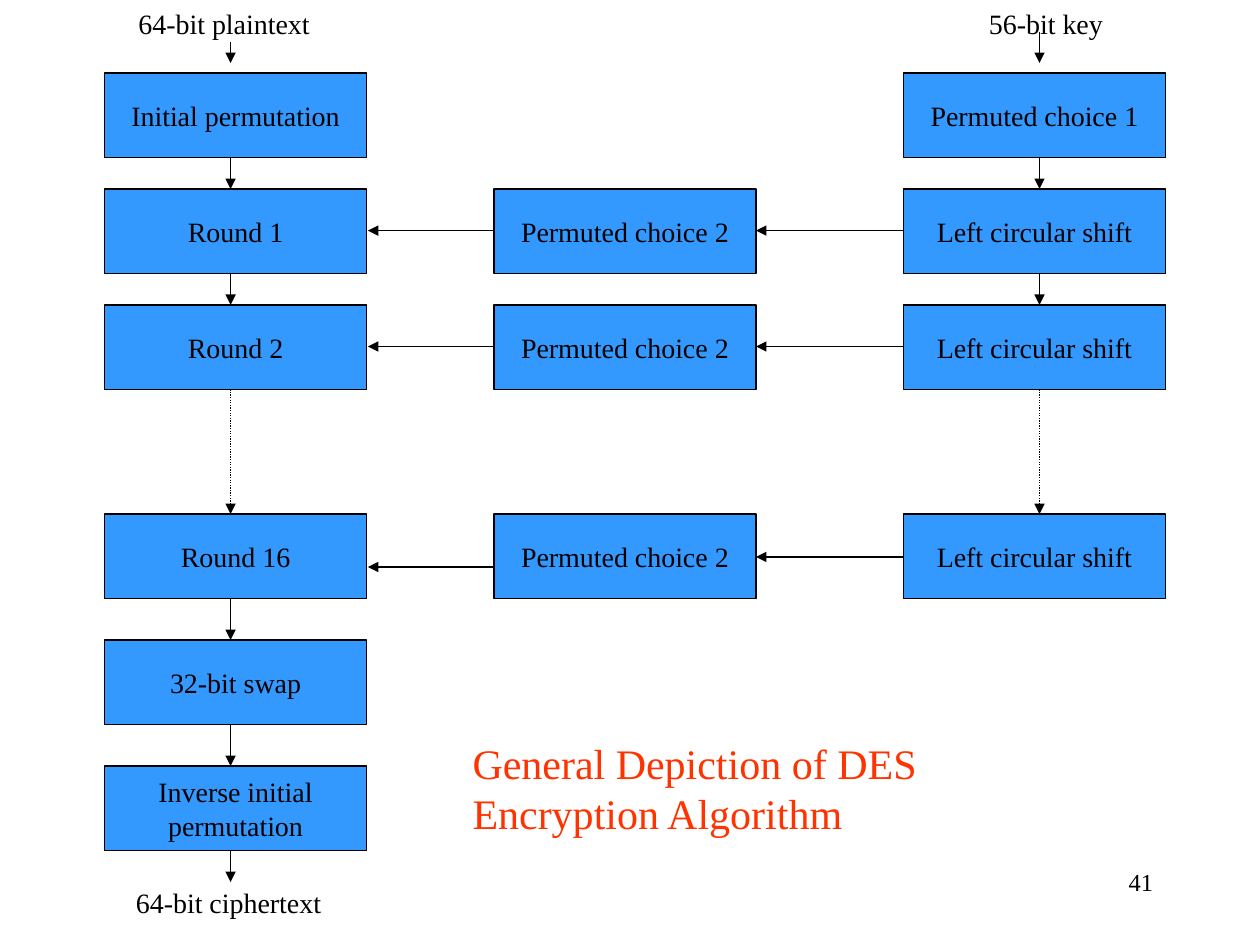
from pptx import Presentation
from pptx.util import Inches, Pt
from pptx.dml.color import RGBColor
from pptx.enum.dml import MSO_LINE
from pptx.enum.shapes import MSO_SHAPE, MSO_CONNECTOR
from pptx.enum.text import MSO_ANCHOR, MSO_AUTO_SIZE, PP_ALIGN
from lxml.etree import SubElement
from pptx.oxml.ns import qn

FONT, BLACK, BLUE, RED = "Times New Roman", "000000", "3399FF", "FF3300"
BOX_W, BOX_H = 2.08, 0.67

# Content: column left edge, arrow axis, boxes as (top, text)
ROUNDS = (1.5, 2.42, 4.08)
COLUMNS = [
    (0.83, 1.83, [(0.58, "Initial permutation"), (1.5, "Round 1"),
                  (2.42, "Round 2"), (4.08, "Round 16"),
                  (5.08, "32-bit swap"),
                  (6.08, "Inverse initial\npermutation")]),
    (3.92, None, [(top, "Permuted choice 2") for top in ROUNDS]),
    (7.17, 8.25, [(0.58, "Permuted choice 1")]
     + [(top, "Left circular shift") for top in ROUNDS]),
]
# Labels: left, top, width, height, text, size, alignment
LABELS = [
    (1, 0, 1.58, 0.37, "64-bit plaintext", 16, PP_ALIGN.LEFT),
    (7.75, 0, 1.11, 0.37, "56-bit key", 16, PP_ALIGN.LEFT),
    (0.98, 6.98, 1.68, 0.37, "64-bit ciphertext", 16, PP_ALIGN.LEFT),
    (7.17, 6.83, 2.08, 0.5, "41", 14, PP_ALIGN.RIGHT),
]
TITLE = "General Depiction of DES\nEncryption Algorithm"
# Arrows into and out of the columns: x, start, end
ENDS = [(1.83, 0.33, 0.5), (8.25, 0.25, 0.5), (1.83, 6.75, 7)]
# Arrows between columns: start, end, height at each round
LINKS = [(3.92, 2.92, (1.83, 2.75, 4.5)), (7.17, 6, (1.83, 2.75, 4.42))]


def rgb(code):
    return RGBColor.from_string(code)


def write(shape, text, size, color, align, anchor, wrap=False):
    frame = shape.text_frame
    frame.text = text
    frame.word_wrap = wrap
    frame.auto_size = MSO_AUTO_SIZE.NONE
    frame.vertical_anchor = anchor
    for para in frame.paragraphs:
        para.alignment = align
        para.space_before = Pt(0)
        for run in para.runs:
            run.font.name = FONT
            run.font.size = Pt(size)
            run.font.color.rgb = rgb(color)


def add_box(slide, left, top, text):
    box = slide.shapes.add_shape(MSO_SHAPE.RECTANGLE, Inches(left),
                                 Inches(top), Inches(BOX_W), Inches(BOX_H))
    box.shadow.inherit = False
    box.fill.solid()
    box.fill.fore_color.rgb = rgb(BLUE)
    box.line.color.rgb = rgb(BLACK)
    box.line.width = Pt(0.75)
    write(box, text, 16, BLACK, PP_ALIGN.CENTER, MSO_ANCHOR.MIDDLE)


def add_arrow(slide, x1, y1, x2, y2, dotted=False):
    arrow = slide.shapes.add_connector(MSO_CONNECTOR.STRAIGHT, Inches(x1),
                                       Inches(y1), Inches(x2), Inches(y2))
    arrow.line.color.rgb = rgb(BLACK)
    arrow.line.width = Pt(0.75)
    if dotted:
        arrow.line.dash_style = MSO_LINE.ROUND_DOT
    SubElement(arrow.line._get_or_add_ln(), qn("a:tailEnd"), type="triangle")
    SubElement(arrow._element.spPr, qn("a:effectLst"))


def main():
    deck = Presentation()
    deck.slide_width, deck.slide_height = Inches(10), Inches(7.5)
    slide = deck.slides.add_slide(deck.slide_layouts[5])

    # Title
    title = slide.shapes.title
    title.left, title.top = Inches(3.65), Inches(5.8)
    title.width, title.height = Inches(3.81), Inches(0.9)
    write(title, TITLE, 24, RED, PP_ALIGN.LEFT, MSO_ANCHOR.TOP)

    # Boxes, with arrows down each column; the long gap is dotted
    for left, axis, boxes in COLUMNS:
        for top, text in boxes:
            add_box(slide, left, top, text)
        if axis:
            for (top, _), (below, _) in zip(boxes, boxes[1:]):
                start = top + BOX_H
                add_arrow(slide, axis, start, axis, below,
                          dotted=below - start > 0.5)

    # Arrows at the column ends and between columns
    for x, start, end in ENDS:
        add_arrow(slide, x, start, x, end)
    for start, end, heights in LINKS:
        for y in heights:
            add_arrow(slide, start, y, end, y)

    # Labels and page number
    for left, top, width, height, text, size, align in LABELS:
        label = slide.shapes.add_textbox(Inches(left), Inches(top),
                                         Inches(width), Inches(height))
        write(label, text, size, BLACK, align, MSO_ANCHOR.TOP, wrap=True)

    deck.save("out.pptx")


if __name__ == "__main__":
    main()
